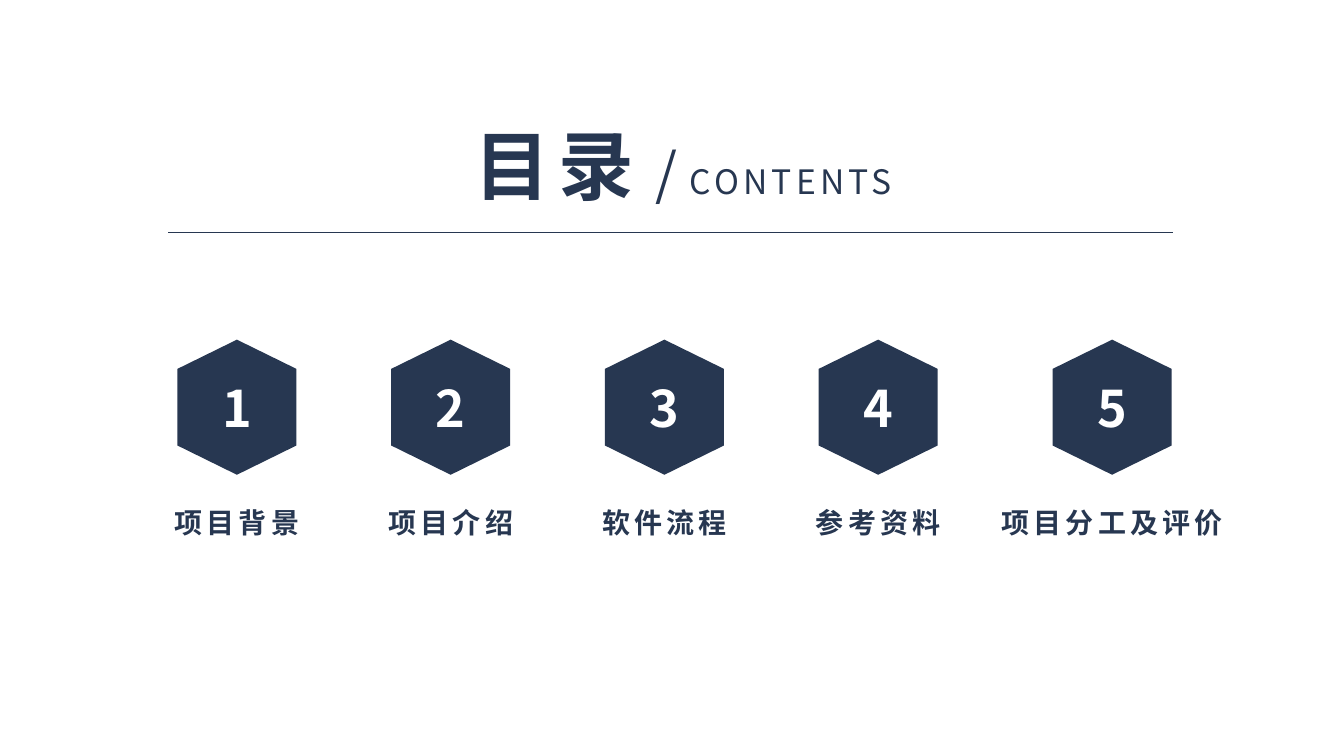
from lxml import etree
from pptx import Presentation
from pptx.dml.color import RGBColor
from pptx.enum.shapes import MSO_CONNECTOR
from pptx.enum.text import MSO_ANCHOR, MSO_AUTO_SIZE, PP_ALIGN
from pptx.oxml.ns import qn
from pptx.util import Inches, Pt

STRAIGHT = MSO_CONNECTOR.STRAIGHT
MIDDLE = MSO_ANCHOR.MIDDLE
GROW = MSO_AUTO_SIZE.SHAPE_TO_FIT_TEXT
CENTER = PP_ALIGN.CENTER

FONT = "Noto Sans CJK SC"
COLORS = {name: RGBColor.from_string(value) for name, value in
          {"navy": "273751", "white": "FFFFFF"}.items()}


def add_span(para, text, size, color="navy", bold=True, spacing=0):
    para.alignment = CENTER
    span = para.add_run()
    span.text = text
    span.font.size = Pt(size)
    span.font.bold = bold
    span.font.name = FONT
    span.font.color.rgb = COLORS[color]
    properties = span.font._element
    properties.set("spc", str(spacing * 100))
    etree.SubElement(properties, qn("a:ea")).set("typeface", FONT)


def add_box(left, top, width, height):
    box = page.shapes.add_textbox(Inches(left), Inches(top), Inches(width), Inches(height))
    box.text_frame.word_wrap = True
    box.text_frame.auto_size = GROW
    return box.text_frame.paragraphs[0]


deck = Presentation()
deck.slide_width = Inches(13.33)
deck.slide_height = Inches(7.5)
page = deck.slides.add_slide(deck.slide_layouts[6])

# Heading
heading = add_box(3.11, 0.95, 7.33, 1.1)
heading.line_spacing = 1.2
add_span(heading, "目录", 54, spacing=6)
add_span(heading, " / ", 40, bold=False)
add_span(heading, "CONTENTS", 24, bold=False, spacing=3)

# Rule under the heading
rule = page.shapes.add_connector(STRAIGHT, Inches(1.67), Inches(2.31), Inches(11.63), Inches(2.31))
rule.line.color.rgb = COLORS["navy"]
rule.line.width = Pt(0.5)
etree.SubElement(rule._element.spPr, qn("a:effectLst"))

# Numbered chapters: centre of the hexagon, label width, label
FIRST_CENTER, STEP = 2.35, 2.12
chapters = [(FIRST_CENTER + STEP * index, 2.38, label) for index, label in
            enumerate(["项目背景", "项目介绍", "软件流程", "参考资料"])]
chapters.append((11.03, 2.78, "项目分工及评价"))

HALF_WIDTH = 0.59
TOP, SHOULDER, HIP, BOTTOM = 3.37, 3.66, 4.42, 4.71

for number, (center, label_width, label) in enumerate(chapters, start=1):
    left, right = center - HALF_WIDTH, center + HALF_WIDTH
    corners = [(right, SHOULDER), (right, HIP), (center, BOTTOM), (left, HIP), (left, SHOULDER)]
    outline = page.shapes.build_freeform(Inches(center), Inches(TOP))
    outline.add_line_segments([(Inches(x), Inches(y)) for x, y in corners], close=True)
    hexagon = outline.convert_to_shape()
    hexagon.shadow.inherit = False
    hexagon.fill.solid()
    hexagon.fill.fore_color.rgb = COLORS["navy"]
    hexagon.line.fill.background()
    hexagon.text_frame.vertical_anchor = MIDDLE
    add_span(hexagon.text_frame.paragraphs[0], str(number), 36, color="white")

    add_span(add_box(center - label_width / 2, 4.97, label_width, 0.44), label, 20, spacing=3)

deck.save("out.pptx")
